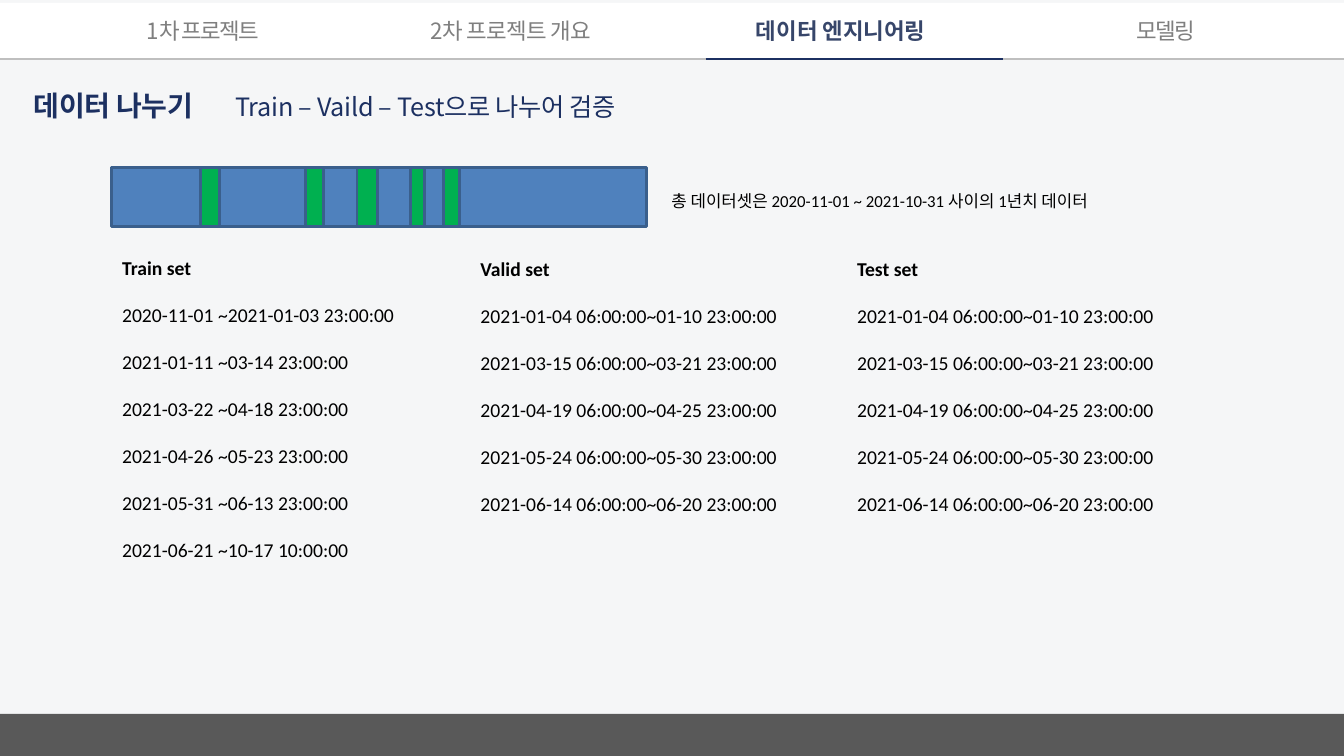
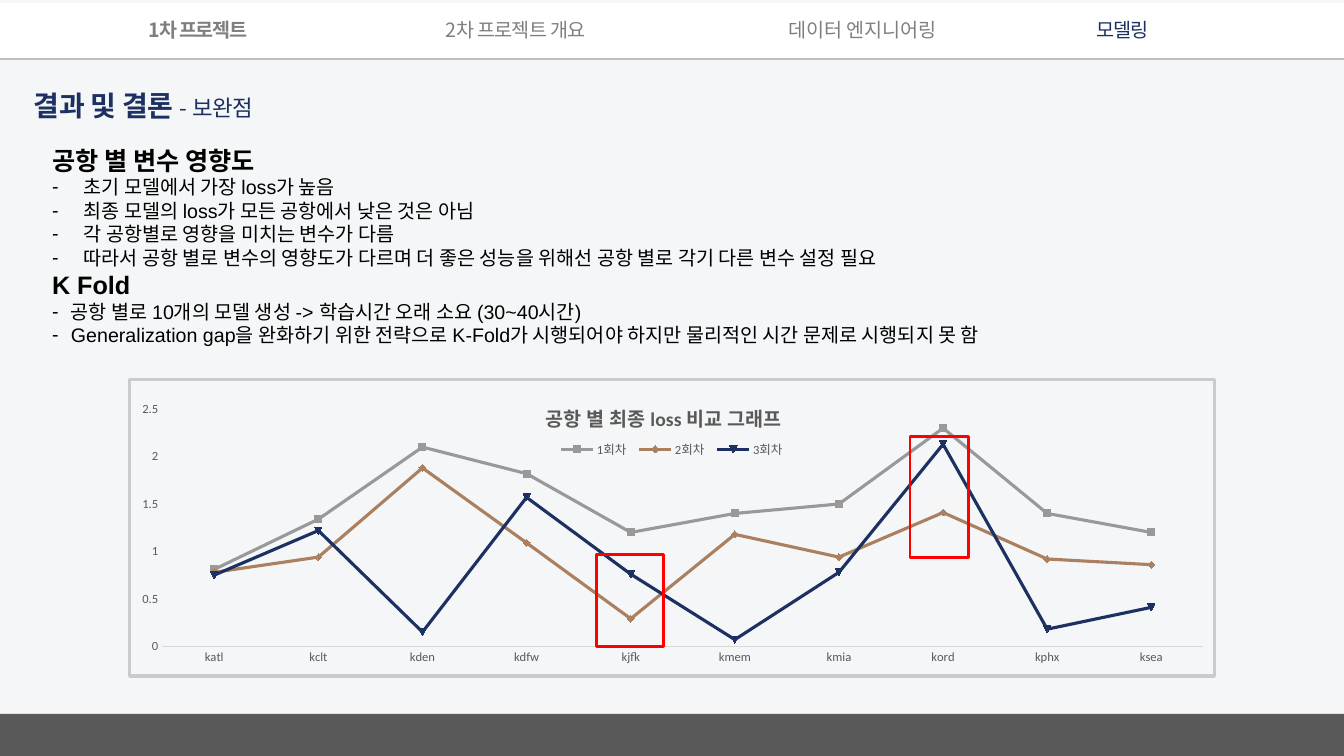
from lxml import etree
from pptx import Presentation
from pptx.chart.data import CategoryChartData
from pptx.dml.color import RGBColor
from pptx.enum.chart import XL_CHART_TYPE, XL_LEGEND_POSITION, XL_TICK_MARK
from pptx.enum.shapes import MSO_CONNECTOR, MSO_SHAPE
from pptx.enum.text import MSO_ANCHOR, MSO_AUTO_SIZE, PP_ALIGN
from pptx.oxml.ns import qn
from pptx.util import Pt

RECT = MSO_SHAPE.RECTANGLE
LINE = MSO_CONNECTOR.STRAIGHT
TOP = MSO_ANCHOR.TOP
LEFT = PP_ALIGN.LEFT
FIXED = MSO_AUTO_SIZE.NONE
CHART = XL_CHART_TYPE.LINE
KEY_TOP = XL_LEGEND_POSITION.TOP
NO_TICK = XL_TICK_MARK.NONE

WIDE, HIGH = 960, 540
NAVY, GREY, BLACK = "1C3061", "7F7F7F", "000000"
PALE, WHITE, DARK, RULE = "F5F6F7", "FFFFFF", "595959", "BFBFBF"
BLUE, GREEN, EDGE, RED = "4F81BD", "00B050", "3A5F8C", "FF0000"
KOREAN, LATIN, SANS = "Noto Sans CJK KR", "Calibri", "Arial"

TABS = [("1차 프로젝트", -1.1), ("2차 프로젝트 개요", -0.5),
        ("데이터 엔지니어링", 0), ("모델링", -0.8)]
TRAIN = ["2020-11-01 ~2021-01-03 23:00:00", "2021-01-11 ~03-14 23:00:00",
         "2021-03-22 ~04-18 23:00:00", "2021-04-26 ~05-23 23:00:00",
         "2021-05-31 ~06-13 23:00:00", "2021-06-21 ~10-17 10:00:00"]
WEEKS = ["2021-01-04 06:00:00~01-10 23:00:00",
         "2021-03-15 06:00:00~03-21 23:00:00",
         "2021-04-19 06:00:00~04-25 23:00:00",
         "2021-05-24 06:00:00~05-30 23:00:00",
         "2021-06-14 06:00:00~06-20 23:00:00"]
SETS = [("Train set", TRAIN, 80, 179), ("Valid set", WEEKS, 336, 180),
        ("Test set", WEEKS, 605, 180)]
SLOTS = [(143.5, 13.5), (218, 13), (255, 14.5), (293, 10), (317, 11.5)]
POINTS = [
    ("공항 별 변수 영향도", 22.5, [
        "초기 모델에서 가장 loss가 높음",
        "최종 모델의 loss가 모든 공항에서 낮은 것은 아님",
        "각 공항별로 영향을 미치는 변수가 다름",
        "따라서 공항 별로 변수의 영향도가 다르며 더 좋은 성능을 위해선 "
        "공항 별로 각기 다른 변수 설정 필요"]),
    ("K Fold", 13.5, [
        "공항 별로 10개의 모델 생성 -> 학습시간 오래 소요 (30~40시간)",
        "Generalization gap을 완화하기 위한 전략으로 K-Fold가 "
        "시행되어야 하지만 물리적인 시간 문제로 시행되지 못 함"]),
]
PORTS = ["katl", "kclt", "kden", "kdfw", "kjfk",
         "kmem", "kmia", "kord", "kphx", "ksea"]
LOSS = [
    ("1회차", "999999", [0.81, 1.34, 2.1, 1.82, 1.2, 1.4, 1.5, 2.3, 1.4, 1.2]),
    ("2회차", "AA8060",
     [0.78, 0.94, 1.88, 1.09, 0.29, 1.18, 0.94, 1.41, 0.92, 0.86]),
    ("3회차", NAVY,
     [0.75, 1.22, 0.15, 1.57, 0.76, 0.07, 0.78, 2.13, 0.18, 0.41]),
]


def paint(target, code):
    if hasattr(target, "solid"):
        target.solid()
        target = target.fore_color
    target.rgb = RGBColor.from_string(code)


def node(parent, tag, **attrs):
    return etree.SubElement(parent, qn(tag), attrs)


def box(shapes, x, y, w, h, fill=None, edge=None):
    shape = shapes.add_shape(RECT, Pt(x), Pt(y), Pt(w), Pt(h))
    shape.shadow.inherit = False
    if fill:
        paint(shape.fill, fill)
    else:
        shape.fill.background()
    if edge:
        paint(shape.line.fill, edge)
        shape.line.width = Pt(2)
    else:
        shape.line.fill.background()
    return shape


def rule(slide, x, y, end, code):
    line = slide.shapes.add_connector(LINE, Pt(x), Pt(y), Pt(end), Pt(y))
    paint(line.line.fill, code)
    line.line.width = Pt(1.5)
    node(line.element.spPr, "a:effectLst")
    return line


def set_frame(shape, x, y, w, h, tight=False):
    shape.left, shape.top, shape.width, shape.height = map(Pt, (x, y, w, h))
    frame = shape.text_frame
    frame.word_wrap = True
    frame.auto_size = FIXED
    frame.vertical_anchor = TOP
    side, edge = (0, 1) if tight else (7.2, 3.6)
    frame.margin_left = frame.margin_right = Pt(side)
    frame.margin_top = Pt(edge)
    frame.margin_bottom = Pt(0 if tight else edge)
    return frame


def add_para(frame, size, gap=0, indent=0):
    para = frame.paragraphs[0]
    if para.runs:
        para = frame.add_paragraph()
    para.alignment = LEFT
    para.line_spacing = Pt(round(size * 1.2, 1))
    para.space_before = Pt(gap)
    para.space_after = Pt(0)
    props = para._p.get_or_add_pPr()
    props.set("marL", str(int(Pt(indent))))
    props.set("indent", str(-int(Pt(indent))))
    if indent:
        node(props, "a:buChar", char="-")
    else:
        node(props, "a:buNone")
    return para


def add_run(para, text, size, code, font=KOREAN, bold=False, track=0):
    run = para.add_run()
    run.text = text
    run.font.size = Pt(size)
    run.font.name = font
    run.font.bold = bold
    paint(run.font.fill, code)
    props = run._r.get_or_add_rPr()
    node(props, "a:ea", typeface=KOREAN)
    if track:
        props.set("spc", str(round(track * 100)))


def text_box(slide, x, y, w, h, tight=False):
    shape = slide.shapes.add_textbox(0, 0, 0, 0)
    return set_frame(shape, x, y, w, h, tight)


def add_title(slide, head, tail, size, stop=None):
    frame = set_frame(slide.shapes.title, 24, 62.5, 445, 25, True)
    para = add_para(frame, 20, 1)
    if stop:
        tabs = node(para._p.get_or_add_pPr(), "a:tabLst")
        node(tabs, "a:tab", pos=str(int(Pt(stop))), algn="l")
    add_run(para, head, 20, NAVY, bold=True, track=-0.2)
    add_run(para, tail, size, NAVY, track=-0.2)


def add_tabs(slide, size, lefts, live, code, strong):
    for i, ((name, track), x) in enumerate(zip(TABS, lefts)):
        frame = text_box(slide, x, 11.5, 140, 20, True)
        add_run(add_para(frame, size, 1), name, size,
                code if i == live else GREY, bold=i == strong, track=track)


def set_master(deck, slide):
    master = deck.slide_master
    paint(master.background.fill, PALE)
    bands = [box(slide.shapes, 0, 2, WIDE, 40, WHITE),
             box(slide.shapes, 0, 510, WIDE, 30, DARK),
             rule(slide, 0, 42, WIDE, RULE)]
    for i, band in enumerate(bands):
        master.shapes.element.insert(2 + i, band.element)


def place(item, index, x, y, w=None, h=None, inner=False):
    old = item.find(qn("c:layout"))
    if old is not None:
        item.remove(old)
    layout = etree.Element(qn("c:layout"))
    item.insert(index, layout)
    spot = node(layout, "c:manualLayout")
    if inner:
        node(spot, "c:layoutTarget", val="inner")
    for tag in ("c:xMode", "c:yMode"):
        node(spot, tag, val="edge")
    for tag, size in zip("xywh", (x, y, w, h)):
        if size is not None:
            node(spot, "c:" + tag, val=str(size))


def set_font(font, size, code):
    font.name = LATIN
    font.size = Pt(size)
    paint(font.fill, code)


def add_border(root, code, width):
    props = etree.Element(qn("c:spPr"))
    root.find(qn("c:chart")).addnext(props)
    node(props, "a:noFill")
    line = node(props, "a:ln", w=str(int(Pt(width))))
    node(node(line, "a:solidFill"), "a:srgbClr", val=code)


def add_chart(slide):
    data = CategoryChartData()
    data.categories = PORTS
    for name, _, vals in LOSS:
        data.add_series(name, vals)
    chart = slide.shapes.add_chart(
        CHART, Pt(91.5), Pt(270), Pt(777), Pt(214), data).chart
    set_font(chart.font, 10, BLACK)
    chart.has_title = True
    para = chart.chart_title.text_frame.paragraphs[0]
    add_run(para, "공항 별 최종 loss 비교 그래프", 14, DARK, LATIN, True)
    chart.has_legend = True
    chart.legend.position = KEY_TOP
    chart.legend.include_in_layout = False
    set_font(chart.legend.font, 9, DARK)
    for axis in (chart.category_axis, chart.value_axis):
        axis.major_tick_mark = axis.minor_tick_mark = NO_TICK
        axis.has_major_gridlines = False
        set_font(axis.tick_labels.font, 9, DARK)
    paint(chart.category_axis.format.line.fill, "D9D9D9")
    chart.category_axis.format.line.width = Pt(0.75)
    scale = chart.value_axis
    scale.format.line.fill.background()
    scale.minimum_scale, scale.maximum_scale, scale.major_unit = 0, 2.5, 0.5
    plot = chart.plots[0]
    plot.vary_by_categories = False
    for series, (_, code, _) in zip(plot.series, LOSS):
        series.smooth = False
        series.marker.style = None
        paint(series.format.line.fill, code)
        series.format.line.width = Pt(2.25)
    root = chart.element
    add_border(root, "CBCBCB", 2.25)
    body = root.find(qn("c:chart"))
    place(body.find(qn("c:title")), 1, 0.38, 0.06)
    place(body.find(qn("c:legend")), 1, 0.39, 0.2, 0.22, 0.07)
    place(body.find(qn("c:plotArea")), 0, 0.03, 0.1, 0.96, 0.8, True)


def data_slide(slide):
    rule(slide, 504, 42, 716.5, NAVY)
    add_tabs(slide, 16, (105, 307.5, 540, 811.5), 2, "37466A", 2)
    add_title(slide, "데이터 나누기", "\tTrain – Vaild – Test으로 나누어 검증",
              18, 132)
    _, *holders, spare = slide.placeholders
    spare.element.getparent().remove(spare.element)
    for holder, (name, spans, x, y) in zip(holders, SETS):
        frame = set_frame(holder, x, y, 280, 245)
        add_run(add_para(frame, 14), name, 14, BLACK, LATIN, True)
        for span in spans:
            add_run(add_para(frame, 14, 16.8), span, 14, BLACK, LATIN)
    bar = slide.shapes.add_group_shape().shapes
    box(bar, 79.5, 119.5, 382.5, 42.5, BLUE, EDGE)
    for x, w in SLOTS:
        box(bar, x, 119.5, w, 42.5, GREEN, EDGE)
    note = text_box(slide, 472.5, 133, 361, 22)
    add_run(add_para(note, 12),
            "총 데이터셋은 2020-11-01 ~ 2021-10-31 사이의 1년치 데이터",
            12, BLACK, LATIN)


def result_slide(slide):
    add_tabs(slide, 14, (106, 318, 563, 783.5), 3, NAVY, 0)
    add_title(slide, "결과 및 결론 ", "- 보완점", 16)
    frame = set_frame(slide.placeholders[1], 30, 100, 750, 153)
    for head, indent, items in POINTS:
        add_run(add_para(frame, 18), head, 18, BLACK, SANS, True)
        for item in items:
            add_run(add_para(frame, 14, indent=indent), item, 14, BLACK, SANS)
    add_chart(slide)
    box(slide.shapes, 650, 312, 42, 86, edge=RED)
    box(slide.shapes, 426, 396, 48, 66, edge=RED)


def main():
    deck = Presentation()
    deck.slide_width, deck.slide_height = Pt(WIDE), Pt(HIGH)
    first = deck.slides.add_slide(deck.slide_layouts[4])
    set_master(deck, first)
    data_slide(first)
    result_slide(deck.slides.add_slide(deck.slide_layouts[1]))
    deck.save("out.pptx")


if __name__ == "__main__":
    main()
